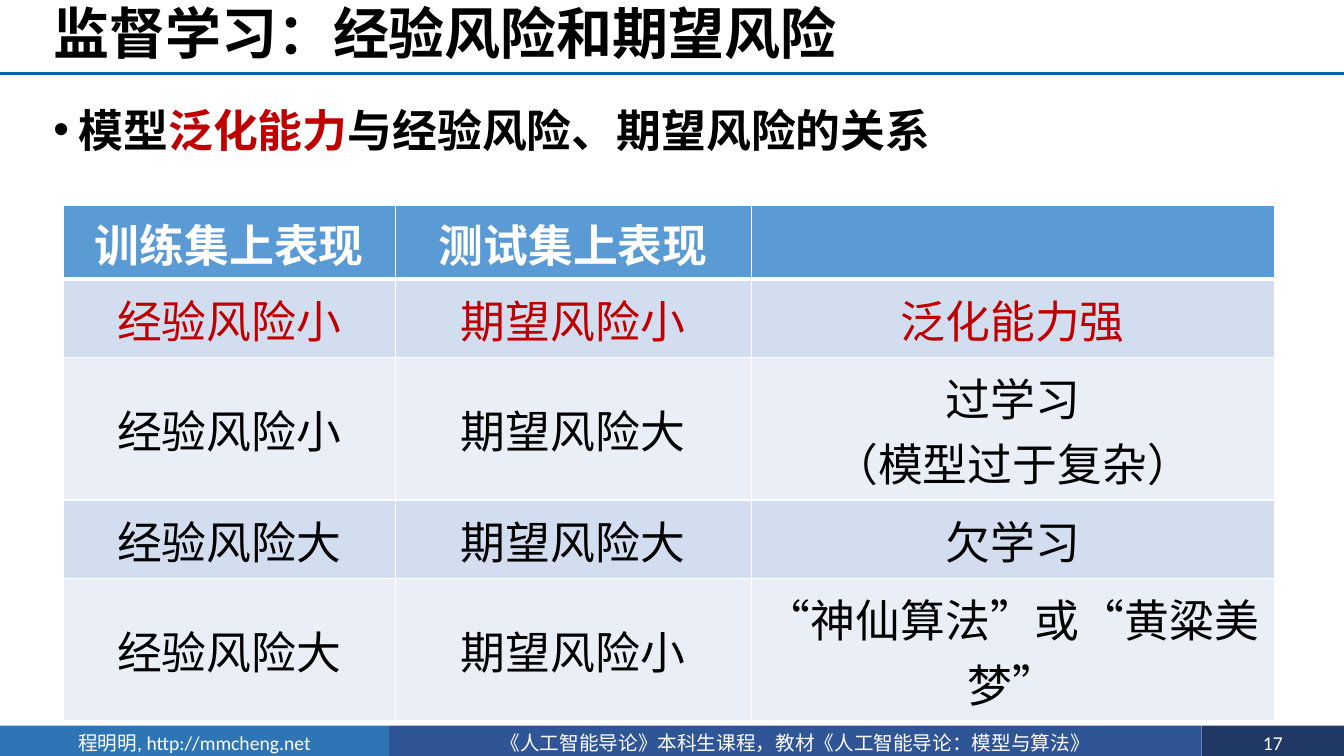
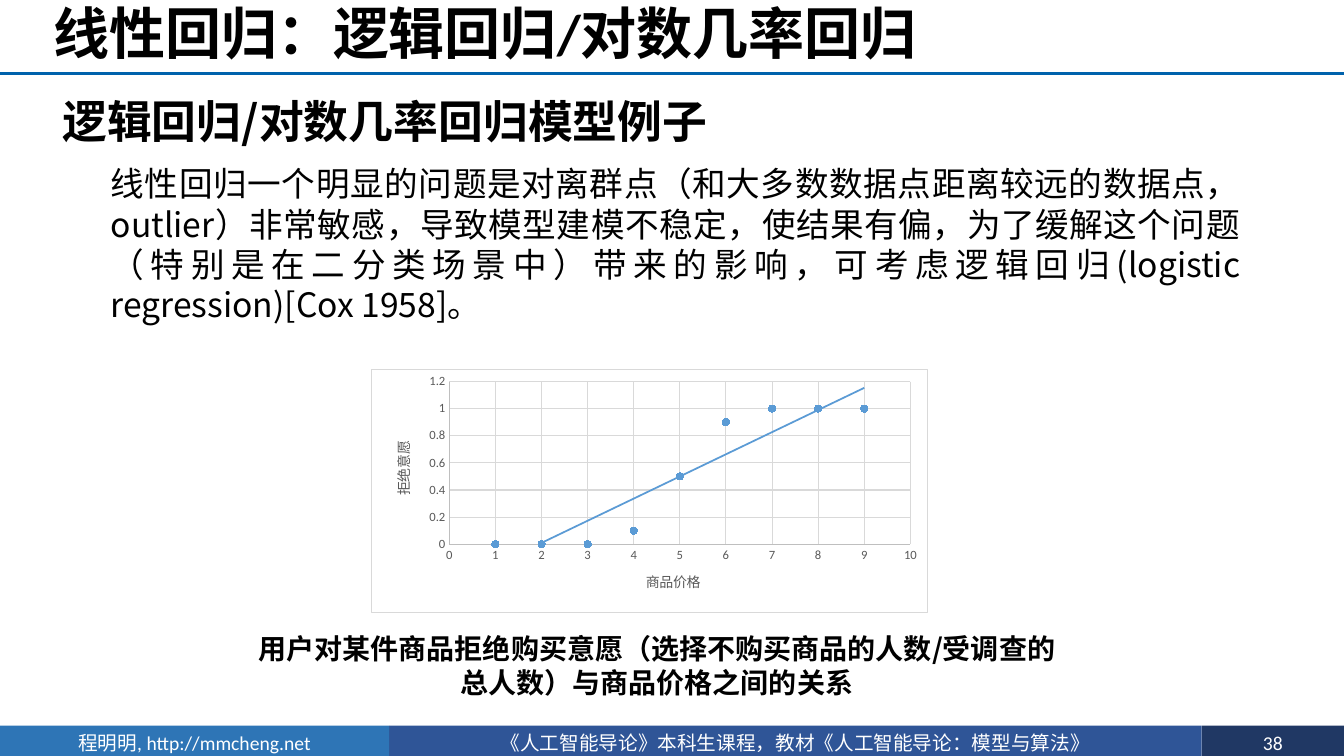
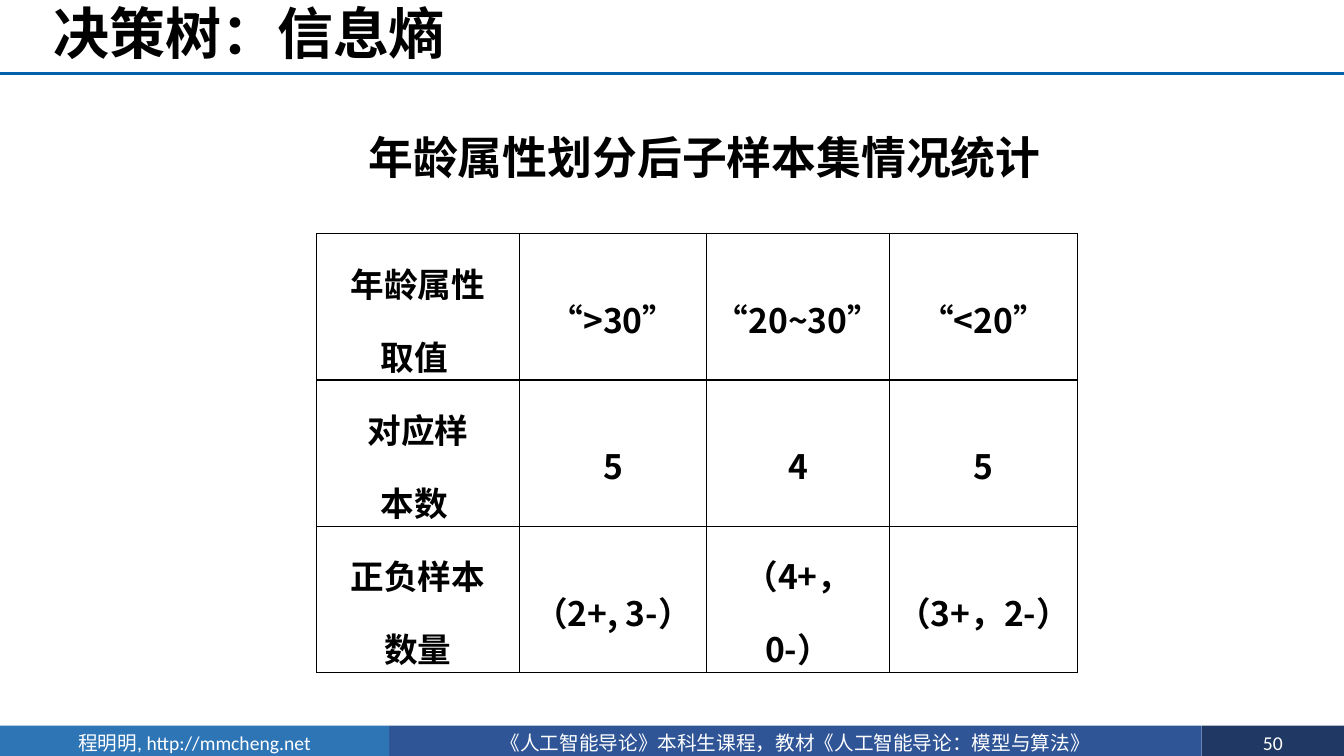
"""Build three lecture slides on risk, logistic regression and information entropy."""
from lxml import etree
from pptx import Presentation
from pptx.chart.data import XyChartData
from pptx.dml.color import RGBColor
from pptx.enum.chart import XL_CHART_TYPE, XL_MARKER_STYLE, XL_TICK_MARK
from pptx.enum.shapes import MSO_CONNECTOR, MSO_SHAPE
from pptx.enum.text import MSO_ANCHOR, PP_ALIGN
from pptx.oxml import parse_xml
from pptx.oxml.ns import nsdecls, qn
from pptx.util import Inches, Pt

LEFT, CENTER, JUSTIFY = PP_ALIGN.LEFT, PP_ALIGN.CENTER, PP_ALIGN.JUSTIFY
TOP, MIDDLE = MSO_ANCHOR.TOP, MSO_ANCHOR.MIDDLE
RECTANGLE = MSO_SHAPE.RECTANGLE
STRAIGHT = MSO_CONNECTOR.STRAIGHT
SCATTER = XL_CHART_TYPE.XY_SCATTER
CIRCLE = XL_MARKER_STYLE.CIRCLE
NO_TICK = XL_TICK_MARK.NONE

LATIN, CHINESE = "Calibri", "Noto Sans CJK SC"
BLACK, WHITE, RED, BLUE = "000000", "FFFFFF", "C00000", "5B9BD5"
GRAY, AXIS_GRAY, GRID_GRAY = "595959", "BFBFBF", "D9D9D9"
RULE_BLUE = "0062AC"


def color(value):
    """Turn a hex string into a colour."""
    return RGBColor.from_string(value)


def write(frame, text, size=32, fill=BLACK, bold=False, font=CHINESE,
          align=LEFT, spacing=None, bullet=False):
    """Fill a text frame; newlines part paragraphs and bars enclose red words."""
    frame.word_wrap = True
    for index, line in enumerate(text.split("\n")):
        paragraph = frame.add_paragraph() if index else frame.paragraphs[0]
        if bullet:
            properties = paragraph._p.get_or_add_pPr()
            properties.set("marL", str(Inches(0.25)))
            properties.set("indent", str(-Inches(0.25)))
            etree.SubElement(properties, qn("a:buFont"), typeface="Arial")
            etree.SubElement(properties, qn("a:buChar"), char="•")
        paragraph.alignment = align
        if spacing:
            paragraph.line_spacing = spacing
        for position, part in enumerate(line.split("|")):
            run = paragraph.add_run()
            run.text = part
            run.font.size = Pt(size)
            run.font.bold = bold
            run.font.name = font
            run.font.color.rgb = color(RED if position % 2 else fill)
            etree.SubElement(run._r.get_or_add_rPr(), qn("a:ea"), typeface=CHINESE)


presentation = Presentation()
presentation.slide_width = Inches(13.33)
presentation.slide_height = Inches(7.5)

pages = [
    ("监督学习：经验风险和期望风险", "17"),
    ("线性回归：逻辑回归/对数几率回归", "38"),
    ("决策树：信息熵", "50"),
]
slides = []
for title, number in pages:
    slide = presentation.slides.add_slide(presentation.slide_layouts[6])
    slides.append(slide)
    bands = [
        (3.86, 8.06, "2F5597", "《人工智能导论》本科生课程，教材《人工智能导论：模型与算法》"),
        (0, 3.86, "2E75B6", "程明明, http://mmcheng.net"),
        (11.92, 1.41, "203864", number),
    ]
    for left, width, fill, label in bands:
        band = slide.shapes.add_shape(
            RECTANGLE, Inches(left), Inches(7.2), Inches(width), Inches(0.34))
        band.shadow.inherit = False
        band.fill.solid()
        band.fill.fore_color.rgb = color(fill)
        band.line.fill.background()
        band.text_frame.vertical_anchor = MIDDLE
        write(band.text_frame, label, size=14, fill=WHITE, font=LATIN, align=CENTER)
    rule = slide.shapes.add_connector(
        STRAIGHT, 0, Inches(0.73), Inches(13.33), Inches(0.73))
    rule.line.color.rgb = color(RULE_BLUE)
    rule.line.width = Pt(2)
    etree.SubElement(rule._element.spPr, qn("a:effectLst"))
    heading = slide.shapes.add_textbox(Inches(0.43), 0, Inches(12.9), Inches(0.73))
    heading.text_frame.vertical_anchor = MIDDLE
    write(heading.text_frame, title, size=40, bold=True, font=LATIN, spacing=0.9)

risk_slide, regression_slide, entropy_slide = slides

texts = [
    (risk_slide, (0.43, 0.86, 12.42, 0.9), "模型|泛化能力|与经验风险、期望风险的关系",
     dict(bold=True, spacing=1.2, bullet=True)),
    (regression_slide, (0.52, 0.88, 9.63, 0.64), "逻辑回归/对数几率回归模型例子",
     dict(bold=True)),
    (regression_slide, (1, 1.57, 11.4, 1.72),
     "线性回归一个明显的问题是对离群点（和大多数数据点距离较远的数据点，outlier）非常敏感，"
     "导致模型建模不稳定，使结果有偏，为了缓解这个问题（特别是在二分类场景中）带来的影响，"
     "可考虑逻辑回归(logistic regression)[Cox 1958]。",
     dict(size=24, align=JUSTIFY)),
    (regression_slide, (2.41, 6.22, 8.21, 0.77),
     "用户对某件商品拒绝购买意愿（选择不购买商品的人数/受调查的总人数）与商品价格之间的关系",
     dict(size=20, bold=True, align=CENTER)),
    (entropy_slide, (2.58, 0.97, 8.82, 0.91), "年龄属性划分后子样本集情况统计",
     dict(bold=True, align=CENTER, spacing=1.5)),
]
for slide, box, text, style in texts:
    textbox = slide.shapes.add_textbox(*[Inches(length) for length in box])
    write(textbox.text_frame, text, **style)

risk_rows = [
    ["训练集上表现", "测试集上表现", ""],
    ["经验风险小", "期望风险小", "泛化能力强"],
    ["经验风险小", "期望风险大", "过学习\n（模型过于复杂）"],
    ["经验风险大", "期望风险大", "欠学习"],
    ["经验风险大", "期望风险小", "“神仙算法”或“黄粱美梦”"],
]
age_rows = [
    ["年龄属性\n取值 ", "“>30”", "“20~30”", "“<20”"],
    ["对应样\n本数 ", "5", "4", "5"],
    ["正负样本\n数量", "（2+, 3-）", "（4+，0-）", "（3+，2-）"],
]
header_style = dict(fill=WHITE, bold=True, font=LATIN)
age_style = dict(size=24, bold=True, spacing=1.5)
tables = [
    (risk_slide, 0.63, 2.04, [3.29, 3.53, 5.19], [0.73, 0.78, 1.41, 0.78, 1.41],
     risk_rows, [header_style, dict(fill=RED), {}, {}, {}],
     [BLUE, "D2DEEF", "EAEFF7", "D2DEEF", "EAEFF7"], WHITE, (0.1, 0.07)),
    (entropy_slide, 3.14, 2.32, [2.01, 1.86, 1.81, 1.87], [1.45] * 3,
     age_rows, [age_style] * 3, [None] * 3, BLACK, (0.07, 0)),
]
for slide, left, top, widths, heights, rows, styles, fills, border, margins in tables:
    table = slide.shapes.add_table(
        len(rows), len(widths), Inches(left), Inches(top),
        Inches(sum(widths)), Inches(sum(heights))).table
    table.first_row = fills[0] is not None
    table.horz_banding = False
    for column, width in zip(table.columns, widths):
        column.width = Inches(width)
    for row_index, height in enumerate(heights):
        table.rows[row_index].height = Inches(height)
        is_header = table.first_row and row_index == 0
        below_header = table.first_row and row_index == 1
        for column_index, text in enumerate(rows[row_index]):
            cell = table.cell(row_index, column_index)
            horizontal, vertical = (0.1, 0.05) if is_header else margins
            cell.margin_left = cell.margin_right = Inches(horizontal)
            cell.margin_top = cell.margin_bottom = Inches(vertical)
            cell.vertical_anchor = TOP if is_header else MIDDLE
            for side in "LRTB":
                thick = is_header and side == "B" or below_header and side == "T"
                cell._tc.get_or_add_tcPr().append(parse_xml(
                    f'<a:ln{side} {nsdecls("a")} w="{Pt(3 if thick else 1)}"><a:solidFill>'
                    f'<a:srgbClr val="{border}"/></a:solidFill></a:ln{side}>'))
            if fills[row_index]:
                cell.fill.solid()
                cell.fill.fore_color.rgb = color(fills[row_index])
            else:
                cell.fill.background()
            write(cell.text_frame, text, align=CENTER, **styles[row_index])

chart_data = XyChartData()
points = chart_data.add_series("Series 1")
for price, refusal in enumerate([0, 0, 0, 0.1, 0.5, 0.9, 1, 1, 1], start=1):
    points.add_data_point(price, refusal)
chart = regression_slide.shapes.add_chart(
    SCATTER, Inches(3.68), Inches(3.66), Inches(5.52), Inches(2.42), chart_data).chart
chart.has_title = False
chart.has_legend = False
chart.font.size = Pt(10)
chart.font.name = LATIN
chart.font.color.rgb = color(BLACK)

axes = [
    (chart.category_axis, "商品价格", 10, 1, 0),
    (chart.value_axis, "拒绝意愿", 1.2, 0.2, -5400000),
]
for axis, title, maximum, unit, rotation in axes:
    axis.minimum_scale = 0
    axis.maximum_scale = maximum
    axis.major_unit = unit
    axis.major_tick_mark = axis.minor_tick_mark = NO_TICK
    axis.has_major_gridlines = True
    for line, shade in [(axis.format.line, AXIS_GRAY),
                        (axis.major_gridlines.format.line, GRID_GRAY)]:
        line.color.rgb = color(shade)
        line.width = Pt(0.75)
    axis.tick_labels.font.size = Pt(9)
    axis.tick_labels.font.name = LATIN
    axis.tick_labels.font.color.rgb = color(GRAY)
    title_frame = axis.axis_title.text_frame
    write(title_frame, title, size=10, fill=GRAY, font=LATIN, align=CENTER)
    title_frame._txBody.bodyPr.set("rot", str(rotation))
    title_frame._txBody.bodyPr.set("vert", "horz")

plot = chart.plots[0]
plot.vary_by_categories = False
series = plot.series[0]
series.smooth = False
series.format.line.fill.background()
series.marker.style = CIRCLE
series.marker.size = 5
series.marker.format.fill.solid()
series.marker.format.fill.fore_color.rgb = color(BLUE)
series.marker.format.line.color.rgb = color(BLUE)
series._element.find(qn("c:xVal")).addprevious(parse_xml(
    f'<c:trendline {nsdecls("c", "a")}><c:spPr><a:ln w="{Pt(1.25)}"><a:solidFill>'
    f'<a:srgbClr val="{BLUE}"/></a:solidFill></a:ln></c:spPr>'
    '<c:trendlineType val="linear"/><c:dispRSqr val="0"/><c:dispEq val="0"/></c:trendline>'))

chart_element = chart._chartSpace.chart
chart_element.addnext(parse_xml(
    f'<c:spPr {nsdecls("c", "a")}><a:solidFill><a:srgbClr val="{WHITE}"/></a:solidFill>'
    f'<a:ln w="{Pt(0.75)}"><a:solidFill><a:srgbClr val="{GRID_GRAY}"/></a:solidFill></a:ln></c:spPr>'))
plot_area = chart_element.plotArea
for old_layout in plot_area.findall(qn("c:layout")):
    plot_area.remove(old_layout)
layout = etree.Element(qn("c:layout"))
plot_area.insert(0, layout)
manual_layout = etree.SubElement(layout, qn("c:manualLayout"))
for name, value in [("layoutTarget", "inner"), ("xMode", "edge"), ("yMode", "edge"),
                    ("x", "0.14"), ("y", "0.05"), ("w", "0.83"), ("h", "0.67")]:
    etree.SubElement(manual_layout, qn(f"c:{name}"), val=value)

presentation.save("out.pptx")
